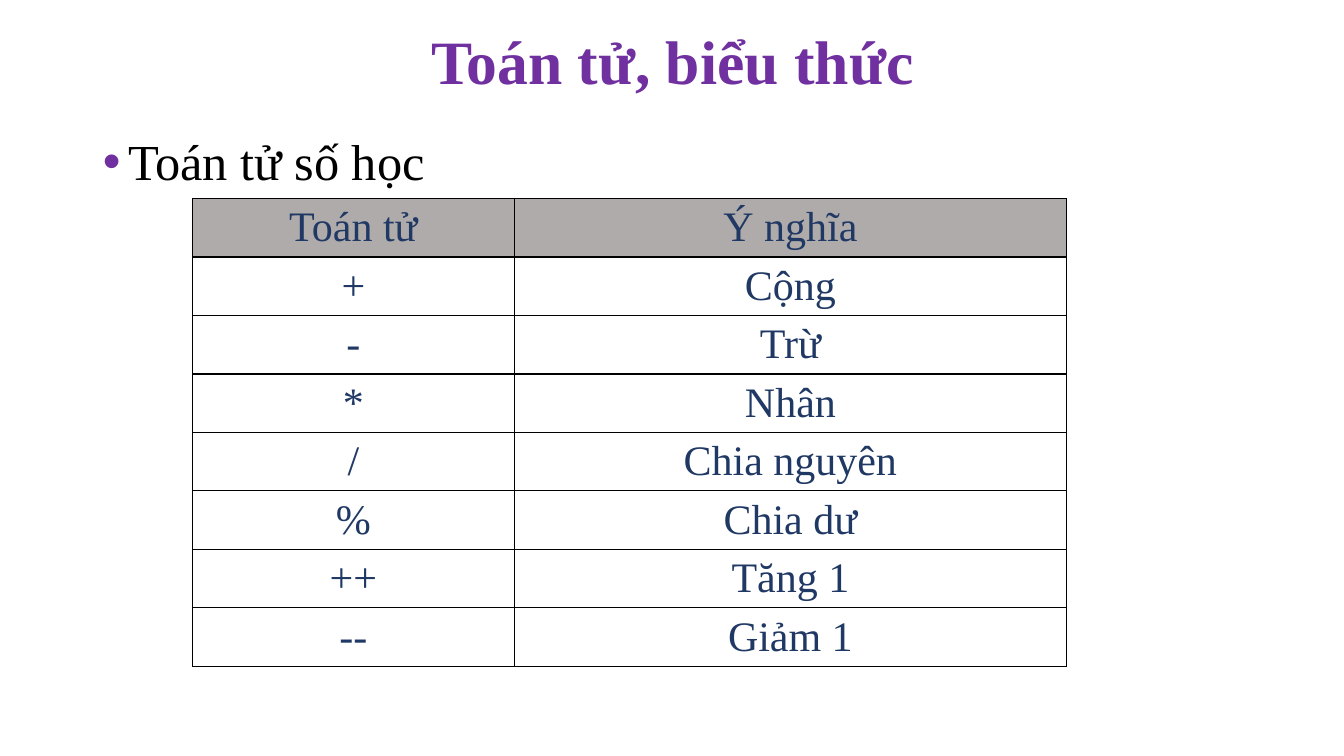
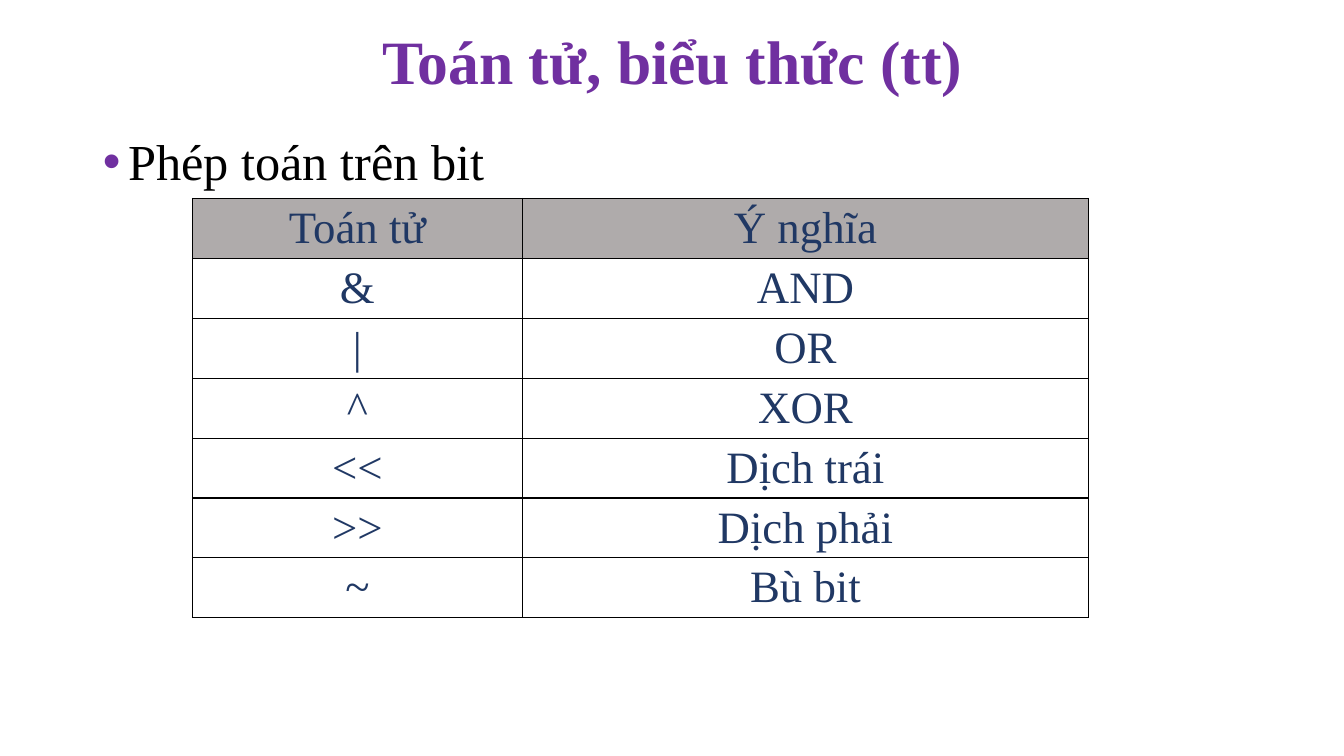
"""Build two slides on operators, each with a title, a bullet and a table."""
from dataclasses import dataclass

from lxml import etree
from pptx import Presentation
from pptx.dml.color import RGBColor
from pptx.enum.text import MSO_ANCHOR, MSO_AUTO_SIZE, PP_ALIGN
from pptx.oxml.ns import qn
from pptx.util import Inches, Pt

CENTER, LEFT = PP_ALIGN.CENTER, PP_ALIGN.LEFT
TOP, MIDDLE = MSO_ANCHOR.TOP, MSO_ANCHOR.MIDDLE
NO_FIT = MSO_AUTO_SIZE.NONE


@dataclass(frozen=True)
class Theme:
    """Colours, type sizes and font of the deck."""
    face: str = "Times New Roman"
    accent: str = "7030A0"
    ink: str = "000000"
    cell: str = "203864"
    head: str = "AFABAB"
    title: int = 44
    body: int = 36
    rule: int = 1


THEME = Theme()
TITLE_BOX = (0.92, 0.24, 11.5, 0.8)
BODY_BOX = (0.92, 1.31, 11.5, 5.45)
HEADER = ("Toán tử", "Ý nghĩa")

SLIDES = (
    dict(title="Toán tử, biểu thức", point="Toán tử số học",
         box=(1.91, 1.97, 8.67, 4.64), split=3.19, size=30,
         rows=(("+", "Cộng"), ("-", "Trừ"), ("*", "Nhân"),
               ("/", "Chia nguyên"), ("%", "Chia dư"),
               ("++", "Tăng 1"), ("--", "Giảm 1"))),
    dict(title="Toán tử, biểu thức (tt)", point="Phép toán trên bit",
         box=(1.91, 1.97, 8.89, 4.16), split=3.27, size=32,
         rows=(("&", "AND"), ("|", "OR"), ("^", "XOR"),
               ("<<", "Dịch trái"), (">>", "Dịch phải"), ("~", "Bù bit"))),
)


def apply(item, **values):
    """Set each named attribute on an item."""
    for name, value in values.items():
        setattr(item, name, value)


def write(frame, text, size, color, align, bold=False, **para):
    """Write one styled paragraph and return it."""
    line = frame.paragraphs[0]
    apply(line, alignment=align, **para)
    run = line.add_run()
    run.text = text
    apply(run.font, name=THEME.face, size=Pt(size), bold=bold)
    run.font.color.rgb = RGBColor.from_string(color)
    return line


def place(holder, box, anchor):
    """Move a placeholder to a box and return its text frame."""
    names = ("left", "top", "width", "height")
    apply(holder, **dict(zip(names, map(Inches, box))))
    frame = holder.text_frame
    apply(frame, word_wrap=True, auto_size=NO_FIT, vertical_anchor=anchor)
    return frame


def add_title(slide, text, box):
    """Fill the title placeholder."""
    frame = place(slide.shapes.title, box, MIDDLE)
    write(frame, text, THEME.title, THEME.accent, CENTER, True,
          line_spacing=0.9)


def add_body(slide, text, box):
    """Fill the body placeholder with one bullet."""
    frame = place(slide.placeholders[1], box, TOP)
    line = write(frame, text, THEME.body, THEME.ink, LEFT,
                 line_spacing=0.9, space_before=Pt(10))
    props = line._p.get_or_add_pPr()
    props.set("marL", str(Inches(0.25)))
    props.set("indent", str(-Inches(0.25)))
    color = etree.SubElement(props, qn("a:buClr"))
    etree.SubElement(color, qn("a:srgbClr"), val=THEME.accent)
    etree.SubElement(props, qn("a:buFont"), typeface="Arial")
    etree.SubElement(props, qn("a:buChar"), char="•")


def add_rules(cell):
    """Draw a thin line on all four sides of a cell."""
    props = cell._tc.get_or_add_tcPr()
    for side in "LRTB":
        line = etree.SubElement(props, qn(f"a:ln{side}"),
                                w=str(Pt(THEME.rule)))
        fill = etree.SubElement(line, qn("a:solidFill"))
        etree.SubElement(fill, qn("a:srgbClr"), val=THEME.ink)


def add_grid(slide, rows, box, split, size):
    """Add the table of operators with equal rows in a box."""
    rows = (HEADER, *rows)
    left, top, width, height = box
    table = slide.shapes.add_table(len(rows), 2, *map(Inches, box)).table
    apply(table, first_row=False, horz_banding=False)
    for column, span in zip(table.columns, (split, width - split)):
        column.width = Inches(span)
    for index, (row, texts) in enumerate(zip(table.rows, rows)):
        row.height = Inches(height / len(rows))
        for cell, text in zip(row.cells, texts):
            apply(cell, vertical_anchor=MIDDLE,
                  margin_top=Inches(0.04), margin_bottom=Inches(0.04))
            add_rules(cell)
            if index == 0:
                cell.fill.solid()
                cell.fill.fore_color.rgb = RGBColor.from_string(THEME.head)
            else:
                cell.fill.background()
            write(cell.text_frame, text, size, THEME.cell, CENTER)


def add_slide(deck, title, point, **grid):
    """Add one slide with its title, bullet and table."""
    slide = deck.slides.add_slide(deck.slide_layouts[1])
    add_title(slide, title, TITLE_BOX)
    add_body(slide, point, BODY_BOX)
    add_grid(slide, **grid)


def main():
    """Build and save the deck."""
    deck = Presentation()
    apply(deck, slide_width=Inches(13.33), slide_height=Inches(7.5))
    for content in SLIDES:
        add_slide(deck, **content)
    deck.save("out.pptx")


if __name__ == "__main__":
    main()
